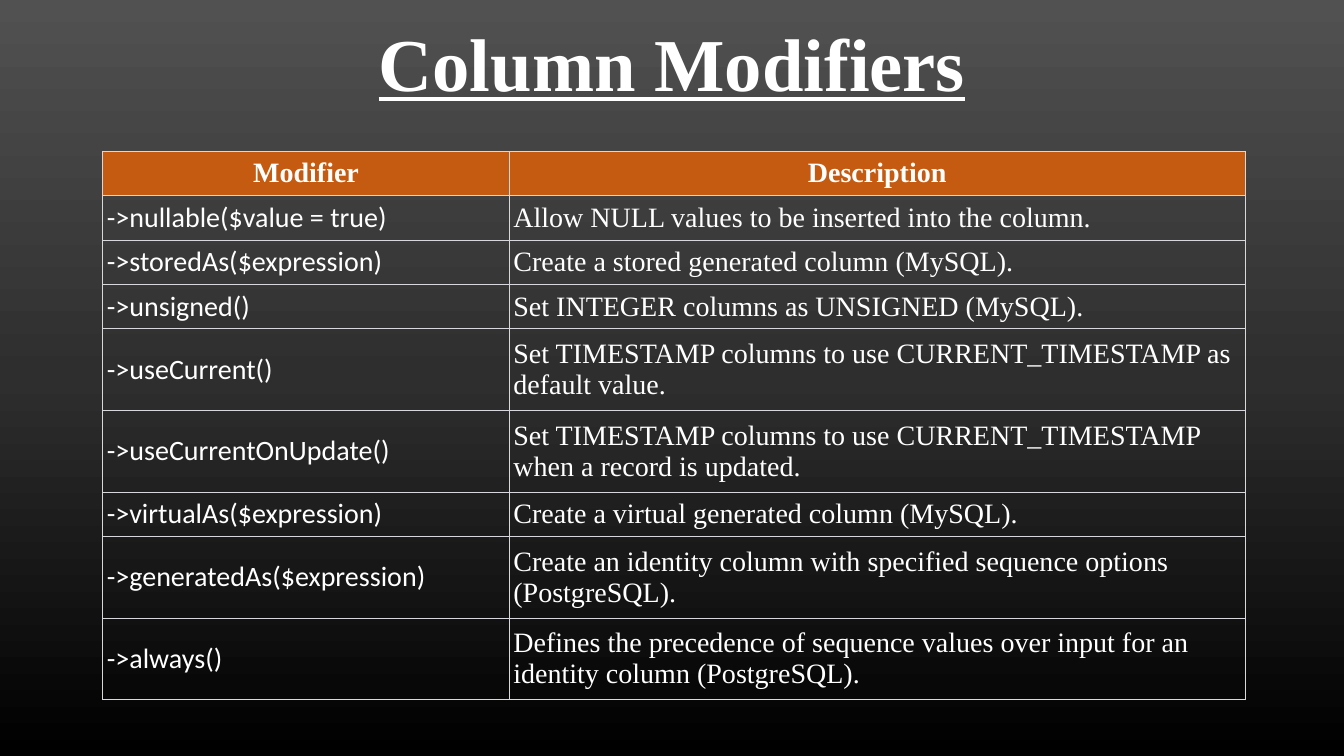
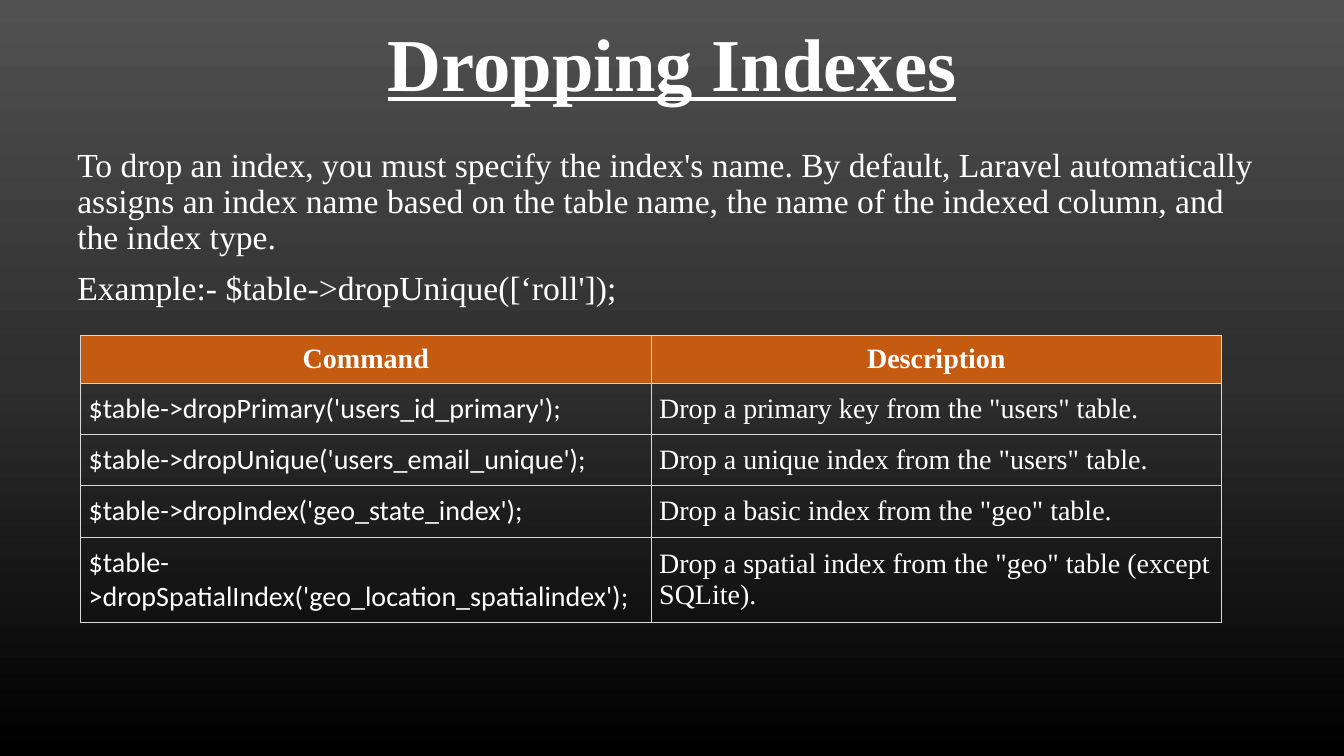
from copy import deepcopy

from lxml.etree import SubElement
from pptx import Presentation
from pptx.dml.color import RGBColor
from pptx.enum.text import MSO_ANCHOR as Anchor, MSO_AUTO_SIZE as AutoSize, PP_ALIGN as Align
from pptx.oxml.ns import qn
from pptx.util import Inches, Pt

COLORS = {
    "top": "515151",
    "middle": "2E2E2E",
    "bottom": "000000",
    "text": "FFFFFF",
    "header": "C55A11",
    "border": "D7D7DC",
}
SLIDE_WIDTH, SLIDE_HEIGHT = Inches(13.33), Inches(7.5)
SERIF, SANS = "Times New Roman", "Calibri"
TITLE_FONT = {"name": SERIF, "size": Pt(53.3), "bold": True, "underline": True}
BODY_FONT = {"name": SERIF, "size": Pt(24)}
HEADER_FONT = {"name": SERIF, "size": Pt(20), "bold": True}
CODE_FONT = {"name": SANS, "size": Pt(20), "bold": False}
DESCRIPTION_FONT = {"name": SERIF, "size": Pt(20), "bold": False}

MODIFIERS = [
    ("Modifier", "Description"),
    ("->nullable($value = true)", "Allow NULL values to be inserted into the column."),
    ("->storedAs($expression)", "Create a stored generated column (MySQL)."),
    ("->unsigned()", "Set INTEGER columns as UNSIGNED (MySQL)."),
    ("->useCurrent()", "Set TIMESTAMP columns to use CURRENT_TIMESTAMP as default value."),
    ("->useCurrentOnUpdate()", "Set TIMESTAMP columns to use CURRENT_TIMESTAMP when a record is updated."),
    ("->virtualAs($expression)", "Create a virtual generated column (MySQL)."),
    ("->generatedAs($expression)", "Create an identity column with specified sequence options (PostgreSQL)."),
    ("->always()", "Defines the precedence of sequence values over input for an identity column (PostgreSQL)."),
]
DROP_TEXT = [
    "To drop an index, you must specify the index's name. By default, Laravel automatically "
    "assigns an index name based on the table name, the name of the indexed column, and the index type.",
    "Example:- $table->dropUnique([‘roll']);",
]
DROP_COMMANDS = [
    ("Command", "Description"),
    ("$table->dropPrimary('users_id_primary');", 'Drop a primary key from the "users" table.'),
    ("$table->dropUnique('users_email_unique');", 'Drop a unique index from the "users" table.'),
    ("$table->dropIndex('geo_state_index');", 'Drop a basic index from the "geo" table.'),
    ("$table->dropSpatialIndex('geo_location_spatialindex');", 'Drop a spatial index from the "geo" table (except SQLite).'),
]


def across(percent):
    return round(SLIDE_WIDTH * percent / 100)


def down(percent):
    return round(SLIDE_HEIGHT * percent / 100)


def set_values(target, values):
    for name, value in values.items():
        setattr(target, name, value)


def rgb(color):
    return RGBColor.from_string(COLORS[color])


def format_font(paragraph, values):
    set_values(paragraph.font, values)
    paragraph.font.color.rgb = rgb("text")


def set_background(master):
    fill = master.background.fill
    fill.gradient()
    fill.gradient_angle = 270
    stop_list = master.element.find(".//" + qn("a:gsLst"))
    stop_list.insert(1, deepcopy(stop_list[0]))
    for stop, position, color in zip(fill.gradient_stops, (0, 0.5, 1), ("top", "middle", "bottom")):
        stop.position = position
        stop.color.rgb = rgb(color)


def place(shape, left, top, width, height):
    set_values(shape, {"left": across(left), "top": down(top), "width": across(width), "height": down(height)})


def add_slide(presentation, layout_name, title):
    slide = presentation.slides.add_slide(presentation.slide_layouts.get_by_name(layout_name))
    shape = slide.shapes.title
    place(shape, 5, 0.5, 90, 16.7)
    frame = shape.text_frame
    frame.text = title
    set_values(frame, {"vertical_anchor": Anchor.MIDDLE, "auto_size": AutoSize.NONE, "word_wrap": True})
    paragraph = frame.paragraphs[0]
    set_values(paragraph, {"alignment": Align.CENTER, "line_spacing": 0.9})
    format_font(paragraph, TITLE_FONT)
    return slide


def fill_body(slide, texts):
    shape = slide.placeholders[1]
    place(shape, 5, 18.95, 90, 29.3)
    frame = shape.text_frame
    frame.text = "\n".join(texts)
    set_values(frame, {"vertical_anchor": Anchor.TOP, "auto_size": AutoSize.NONE, "word_wrap": True})
    for index, paragraph in enumerate(frame.paragraphs):
        space_before = Pt(10) if index else Pt(0)
        set_values(paragraph, {"line_spacing": 0.9, "space_before": space_before, "alignment": Align.LEFT})
        properties = paragraph._p.get_or_add_pPr()
        properties.set("marL", "0")
        properties.set("indent", "0")
        SubElement(properties, qn("a:buNone"))
        format_font(paragraph, BODY_FONT)


def add_borders(cell):
    properties = cell._tc.get_or_add_tcPr()
    for side in ("lnL", "lnR", "lnT", "lnB"):
        line = SubElement(properties, qn("a:" + side), w=str(Pt(0.6)))
        fill = SubElement(line, qn("a:solidFill"))
        SubElement(fill, qn("a:srgbClr"), val=COLORS["border"])


def format_cell(cell, text, font, inset, is_header):
    cell.text = text
    cell.vertical_anchor = Anchor.MIDDLE
    set_values(cell, dict.fromkeys(("margin_left", "margin_right", "margin_top", "margin_bottom"), inset))
    add_borders(cell)
    if is_header:
        cell.fill.solid()
        cell.fill.fore_color.rgb = rgb("header")
    else:
        cell.fill.background()
    paragraph = cell.text_frame.paragraphs[0]
    paragraph.alignment = Align.CENTER if is_header else Align.LEFT
    format_font(paragraph, font)


def add_reference_table(slide, rows, left, top, widths, heights, inset):
    table = slide.shapes.add_table(
        len(rows), len(widths), across(left), down(top), across(sum(widths)), down(sum(heights))
    ).table
    set_values(table, {"first_row": False, "horz_banding": False})
    for column, width in zip(table.columns, widths):
        column.width = across(width)
    for row_index, (row, texts, height) in enumerate(zip(table.rows, rows, heights)):
        row.height = down(height)
        is_header = row_index == 0
        fonts = (HEADER_FONT, HEADER_FONT) if is_header else (CODE_FONT, DESCRIPTION_FONT)
        for cell, text, font in zip(row.cells, texts, fonts):
            format_cell(cell, text, font, inset, is_header)


def build_modifiers(presentation):
    slide = add_slide(presentation, "Title Only", "Column Modifiers")
    single, double = 5.87, 10.8
    heights = [single] * 4 + [double] * 2 + [single] + [double] * 2
    add_reference_table(slide, MODIFIERS, 7.65, 20, (30.25, 54.75), heights, Inches(0.04))


def build_dropping_indexes(presentation):
    slide = add_slide(presentation, "Title and Content", "Dropping Indexes")
    fill_body(slide, DROP_TEXT)
    heights = [6.25] + [6.8] * 3 + [11.3]
    add_reference_table(slide, DROP_COMMANDS, 6, 44.4, (42.45, 42.45), heights, Inches(0.08))


def main():
    presentation = Presentation()
    set_values(presentation, {"slide_width": SLIDE_WIDTH, "slide_height": SLIDE_HEIGHT})
    set_background(presentation.slide_master)
    build_modifiers(presentation)
    build_dropping_indexes(presentation)
    presentation.save("out.pptx")


if __name__ == "__main__":
    main()
